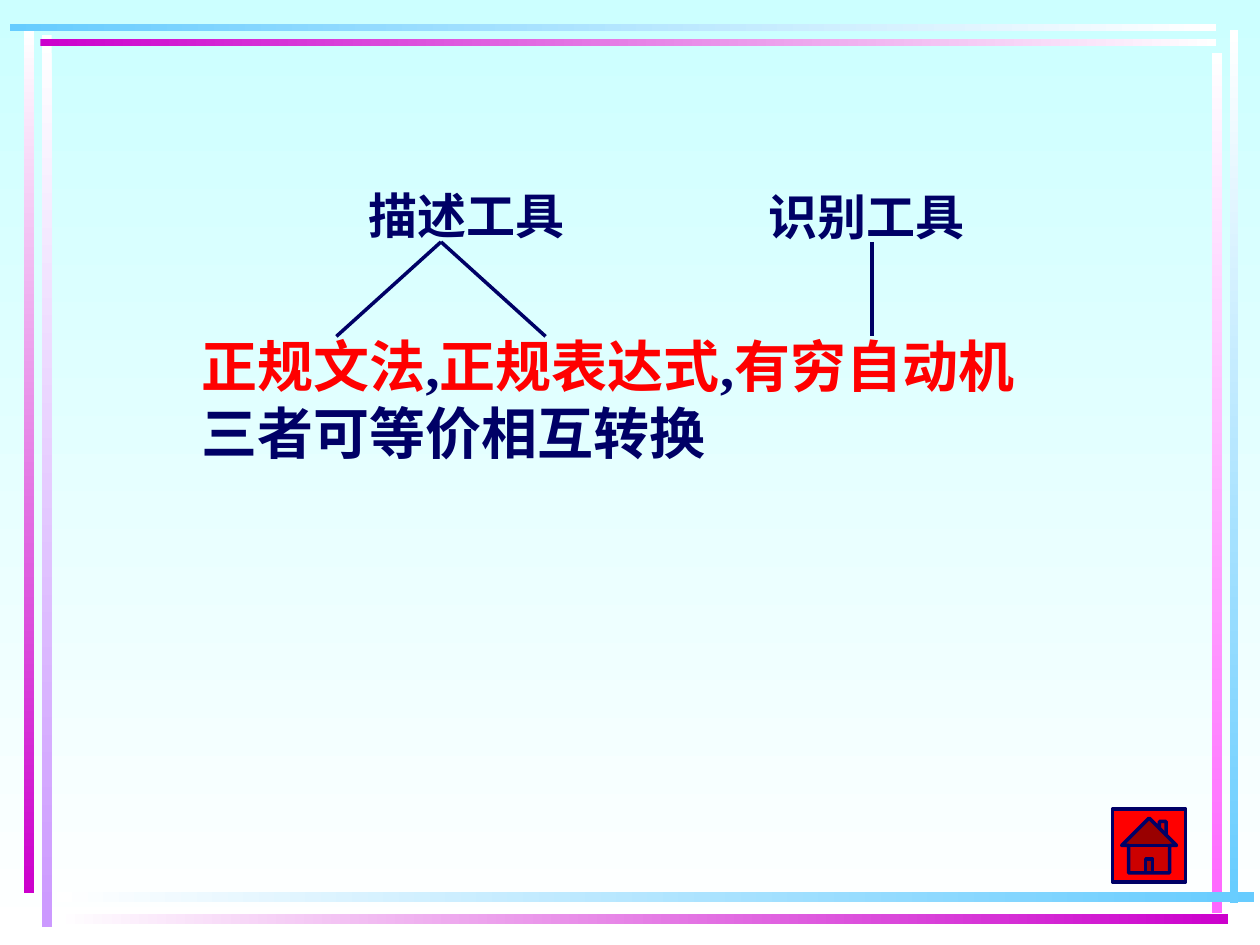
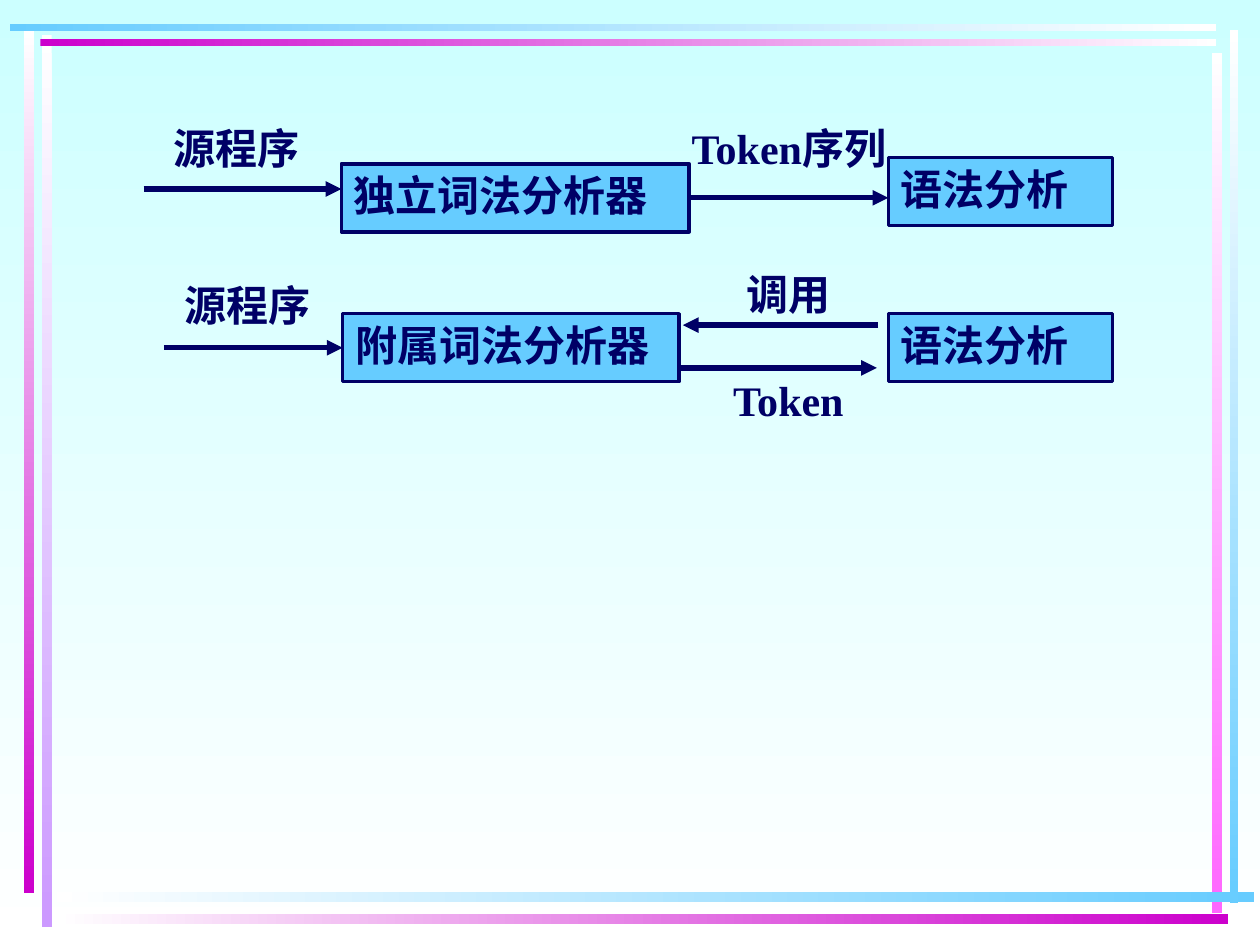
from lxml import etree
from pptx import Presentation
from pptx.dml.color import RGBColor
from pptx.enum.dml import MSO_FILL
from pptx.enum.shapes import MSO_CONNECTOR, MSO_SHAPE
from pptx.enum.text import MSO_ANCHOR, PP_ALIGN
from pptx.oxml.ns import qn
from pptx.util import Inches, Pt

RECT, HOME = MSO_SHAPE.RECTANGLE, MSO_SHAPE.ACTION_BUTTON_HOME
LINE, TOP, LEFT = MSO_CONNECTOR.STRAIGHT, MSO_ANCHOR.TOP, PP_ALIGN.LEFT
GRAD = MSO_FILL.GRADIENT

HEX = {"navy": "000066", "red": "FF0000", "sky": "66CCFF", "white": "FFFFFF",
       "ice": "CCFFFF", "plum": "CC00CC", "lilac": "CC99FF", "pink": "FF66FF"}
RGB = {name: RGBColor.from_string(code) for name, code in HEX.items()}
FONT = {"name": "Times New Roman", "bold": True}


def write(shape, runs, size):
    """Fill a shape with one paragraph of (text, colour) runs."""
    frame = shape.text_frame
    frame.word_wrap = True
    frame.vertical_anchor = TOP
    para = frame.paragraphs[0]
    para.alignment = LEFT
    for text, color in runs:
        run = para.add_run()
        run.text = text
        for key, value in {**FONT, "size": Pt(size)}.items():
            setattr(run.font, key, value)
        run.font.color.rgb = RGB[color]


def join(slide, start, end, width, head=False):
    """Draw a straight navy line, with an arrowhead at its end if asked."""
    line = slide.shapes.add_connector(LINE, *map(Inches, start + end))
    line.line.color.rgb = RGB["navy"]
    line.line.width = Pt(width)
    props = line.element.spPr
    if head:
        etree.SubElement(props.find(qn("a:ln")), qn("a:tailEnd"), type="triangle")
    etree.SubElement(props, qn("a:effectLst"))
    return line


prs = Presentation()
prs.slide_width, prs.slide_height = Inches(10), Inches(7.5)
master, blank = prs.slide_master, prs.slide_layouts[6]
tools = prs.slides.add_slide(blank)
flow = prs.slides.add_slide(blank)

# Shared frame: left, top, width, height, first and last colour
bars = [
    (0.33, 0.28, 0.08, 7.08, "white", "lilac"),
    (0.19, 0.25, 0.08, 6.84, "white", "plum"),
    (9.76, 0.24, 0.07, 6.93, "white", "sky"),
    (9.62, 0.42, 0.08, 6.83, "white", "pink"),
    (0.45, 7.08, 9.5, 0.08, "white", "sky"),
    (0.45, 7.25, 9.3, 0.08, "white", "plum"),
    (0.32, 0.31, 9.33, 0.06, "plum", "white"),
    (0.08, 0.19, 9.57, 0.06, "sky", "white"),
]
fades = [(master.background.fill, 270, "ice", "white")]
for x, y, w, h, first, last in bars:
    bar = tools.shapes.add_shape(RECT, *map(Inches, (x, y, w, h)))
    bar.shadow.inherit = False
    bar.line.fill.background()
    fades.append((bar.fill, 270 if h > w else 0, first, last))
    master.shapes.element.append(bar.element)

# Gradients of the background and the bars
for fill, angle, *ends in fades:
    if fill.type != GRAD:
        fill.gradient()
    fill.gradient_angle = angle
    for stop, color in zip(fill.gradient_stops, ends):
        stop.color.rgb = RGB[color]

# Labels: slide, left, top, width, height, size, runs
labels = [
    (tools, 1.5, 2.58, 6.92, 1.17, 32, [
        ("正规文法", "red"), (",", "navy"), ("正规表达式", "red"), (",", "navy"),
        ("有穷自动机", "red"), ("三者可等价相互转换", "navy")]),
    (tools, 2.83, 1.42, 1.92, 0.57, 28, [("描述工具", "navy")]),
    (tools, 6, 1.43, 1.92, 0.57, 28, [("识别工具", "navy")]),
    (flow, 1.28, 0.92, 1.27, 0.5, 24, [("源程序", "navy")]),
    (flow, 5.39, 0.92, 1.99, 0.5, 24, [("Token序列", "navy")]),
    (flow, 1.37, 2.17, 1.27, 0.5, 24, [("源程序", "navy")]),
    (flow, 5.83, 2.08, 1.14, 0.5, 24, [("调用", "navy")]),
    (flow, 5.72, 2.92, 1.35, 0.5, 24, [("Token", "navy")]),
]

# Boxes: slide, preset, fill, left, top, width, height, text
boxes = [
    (tools, HOME, "red", 8.83, 6.42, 0.58, 0.58, ""),
    (flow, RECT, "sky", 2.71, 1.3, 2.76, 0.54, "独立词法分析器"),
    (flow, RECT, "sky", 7.05, 1.25, 1.78, 0.54, "语法分析"),
    (flow, RECT, "sky", 2.72, 2.49, 2.67, 0.54, "附属词法分析器"),
    (flow, RECT, "sky", 7.05, 2.49, 1.78, 0.54, "语法分析"),
]
drawn = []
for slide, kind, color, x, y, w, h, text in boxes:
    box = slide.shapes.add_shape(kind, *map(Inches, (x, y, w, h)))
    box.shadow.inherit = False
    box.fill.solid()
    box.fill.fore_color.rgb = RGB[color]
    box.line.color.rgb = RGB["navy"]
    box.line.width = Pt(2)
    if text:
        write(box, [(text, "navy")], 24)
    drawn.append(box)
home, alone, parse_a, helper, parse_b = drawn

for slide, x, y, w, h, size, runs in labels:
    label = slide.shapes.add_textbox(*map(Inches, (x, y, w, h)))
    write(label, runs, size)

# Branches from the tools to what they cover
for start, end in [((3.5, 1.92), (2.67, 2.67)), ((3.5, 1.92), (4.33, 2.67)),
                   ((6.92, 1.92), (6.92, 2.67))]:
    join(tools, start, end, 2)

# Arrows between the analysers
join(flow, (1.14, 1.5), (2.71, 1.5), 3, True)
join(flow, (5.47, 1.57), (7.05, 1.57), 3, True).begin_connect(alone, 3)
join(flow, (1.3, 2.76), (2.72, 2.76), 3, True).end_connect(helper, 1)
join(flow, (6.97, 2.58), (5.42, 2.58), 3, True)
join(flow, (5.39, 2.92), (6.96, 2.92), 3, True)

prs.save("out.pptx")
